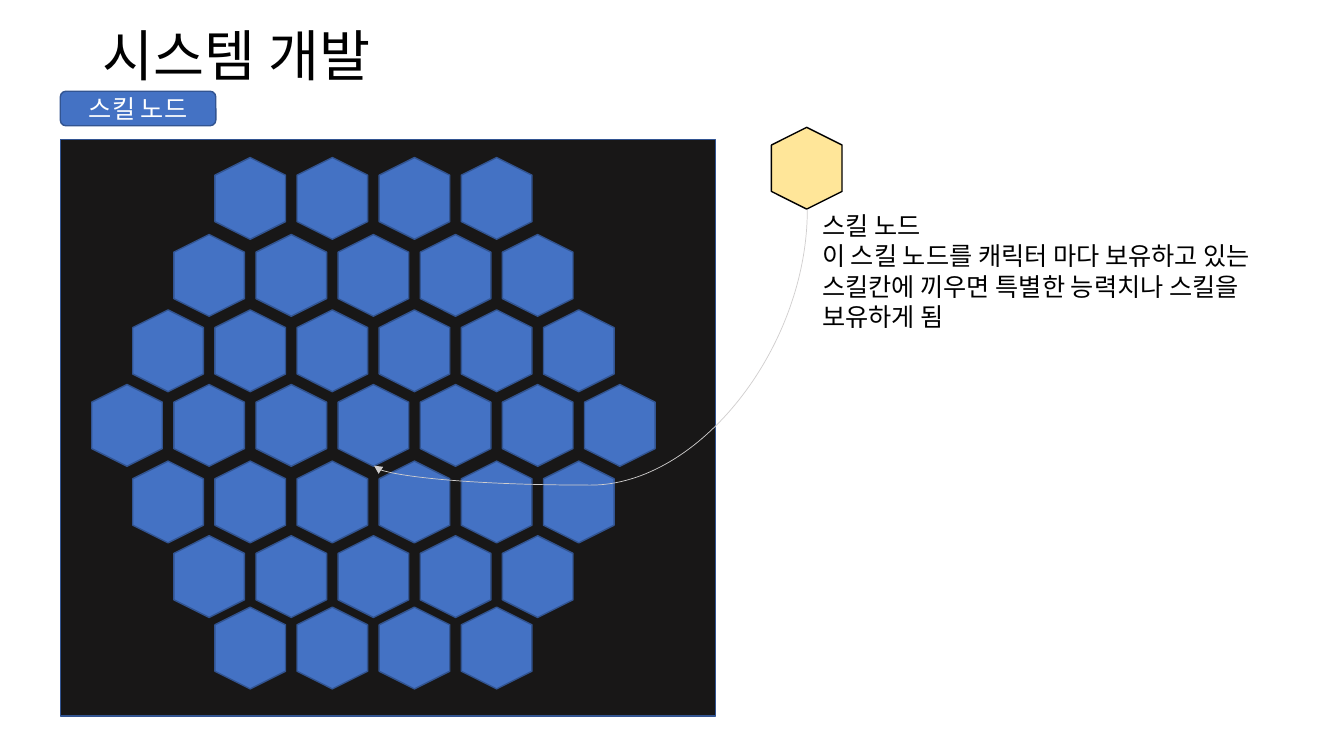
from dataclasses import dataclass

from lxml import etree
from pptx import Presentation
from pptx.dml.color import RGBColor
from pptx.enum.dml import MSO_LINE
from pptx.enum.shapes import MSO_CONNECTOR, MSO_SHAPE
from pptx.enum.text import MSO_ANCHOR, MSO_AUTO_SIZE, PP_ALIGN
from pptx.oxml.ns import qn
from pptx.util import Cm, Pt

RECTANGLE = MSO_SHAPE.RECTANGLE
ROUNDED = MSO_SHAPE.ROUNDED_RECTANGLE
HEXAGON = MSO_SHAPE.HEXAGON
CURVE = MSO_CONNECTOR.CURVE
SOLID = MSO_LINE.SOLID
MIDDLE, TOP = MSO_ANCHOR.MIDDLE, MSO_ANCHOR.TOP
NO_FIT, GROW = MSO_AUTO_SIZE.NONE, MSO_AUTO_SIZE.SHAPE_TO_FIT_TEXT
LEFT, CENTER = PP_ALIGN.LEFT, PP_ALIGN.CENTER
TITLE_ONLY = 5


@dataclass(frozen=True)
class Theme:
    font: str = "Noto Sans CJK KR"
    title_size: float = 39.6
    body_size: float = 18
    line_width: float = 1
    arrow_width: float = 0.5
    text: str = "000000"
    light_text: str = "FFFFFF"
    panel: str = "181717"
    node: str = "4472C4"
    node_line: str = "325491"
    sample: str = "FFE699"
    sample_line: str = "000000"
    arrow: str = "D0CECE"


THEME = Theme()

# Lengths in centimetres
NODE_LENGTH, NODE_WIDTH = 2.06, 1.78
NODE_PITCH = 2.07
GRID_CENTER = 9.41
NODE_ROWS = [(4, 4.11), (5, 6.05), (6, 7.95), (7, 9.83),
             (6, 11.76), (5, 13.64), (4, 15.44)]  # node count, top


def apply_format(target, values):
    for name, value in values.items():
        setattr(target, name, value)


def write_text(shape, lines, size, color, frame_format, paragraph_format):
    frame = shape.text_frame
    apply_format(frame, {"word_wrap": True, **frame_format})
    for index, line in enumerate(lines):
        paragraph = frame.add_paragraph() if index else frame.paragraphs[0]
        apply_format(paragraph, paragraph_format)
        run = paragraph.add_run()
        run.text = line
        apply_format(run.font, {"name": THEME.font, "size": Pt(size)})
        run.font.color.rgb = RGBColor.from_string(color)
        east_asian = etree.SubElement(run.font._element, qn("a:ea"))
        east_asian.set("typeface", THEME.font)


def add_box(slide, kind, left, top, width, height, fill, line):
    shape = slide.shapes.add_shape(kind, Cm(left), Cm(top), Cm(width), Cm(height))
    shape.shadow.inherit = False
    shape.fill.solid()
    shape.fill.fore_color.rgb = RGBColor.from_string(fill)
    shape.line.color.rgb = RGBColor.from_string(line)
    shape.line.width = Pt(THEME.line_width)
    return shape


def add_node(slide, left, top, fill=THEME.node, line=THEME.node_line):
    """Add a hexagon turned to stand on its point; left and top are unturned."""
    node = add_box(slide, HEXAGON, left, top, NODE_LENGTH, NODE_WIDTH, fill, line)
    node.rotation = 90


def add_node_grid(slide):
    for count, top in NODE_ROWS:
        first_center = GRID_CENTER - (count - 1) * NODE_PITCH / 2
        for column in range(count):
            center = first_center + column * NODE_PITCH
            add_node(slide, center - NODE_LENGTH / 2, top)


def add_curved_arrow(slide, left, top, right, bottom, bend):
    """Add a curve turned by 90 degrees; bend is its middle, in 1/100000 of its run."""
    arrow = slide.shapes.add_connector(CURVE, Cm(left), Cm(top), Cm(right), Cm(bottom))
    arrow.line.color.rgb = RGBColor.from_string(THEME.arrow)
    apply_format(arrow.line, {"width": Pt(THEME.arrow_width), "dash_style": SOLID})
    properties = arrow._element.spPr
    properties.find(qn("a:xfrm")).set("rot", str(90 * 60000))
    adjustments = properties.find(qn("a:prstGeom")).find(qn("a:avLst"))
    etree.SubElement(adjustments, qn("a:gd"), name="adj1", fmla=f"val {bend}")
    etree.SubElement(properties.find(qn("a:ln")), qn("a:tailEnd"), type="triangle")
    etree.SubElement(properties, qn("a:effectLst"))


def set_title(slide, text):
    title = slide.shapes.title
    apply_format(title, {"left": Cm(2.34), "top": Cm(1.02),
                         "width": Cm(23.22), "height": Cm(0.89)})
    write_text(title, [text], THEME.title_size, THEME.text,
               {"vertical_anchor": MIDDLE, "auto_size": NO_FIT},
               {"alignment": LEFT, "line_spacing": 0.9})


def add_label(slide, text):
    label = add_box(slide, ROUNDED, 1.52, 2.3, 3.92, 0.87, THEME.node, THEME.node_line)
    write_text(label, [text], THEME.body_size, THEME.light_text,
               {"vertical_anchor": MIDDLE}, {"alignment": CENTER})


def add_description(slide, lines):
    box = slide.shapes.add_textbox(Cm(20.47), Cm(5.18), Cm(12.93), Cm(4.11))
    write_text(box, lines, THEME.body_size, THEME.text,
               {"vertical_anchor": TOP, "auto_size": GROW}, {"alignment": LEFT})


def main():
    presentation = Presentation()
    presentation.slide_width, presentation.slide_height = Cm(33.87), Cm(19.05)
    slide = presentation.slides.add_slide(presentation.slide_layouts[TITLE_ONLY])
    set_title(slide, "시스템 개발")
    add_box(slide, RECTANGLE, 1.52, 3.51, 16.51, 14.53, THEME.panel, THEME.node_line)
    add_label(slide, "스킬 노드")
    add_node_grid(slide)
    add_node(slide, 19.3, 3.35, THEME.sample, THEME.sample_line)
    add_description(slide, [
        "스킬 노드",
        "이 스킬 노드를 캐릭터 마다 보유하고 있는 스킬칸에 끼우면 특별한 능력치나 스킬을 보유하게 됨",
    ])
    add_curved_arrow(slide, 11.66, 3.05, 18.11, 13.97, bend=107600)
    presentation.save("out.pptx")


if __name__ == "__main__":
    main()
